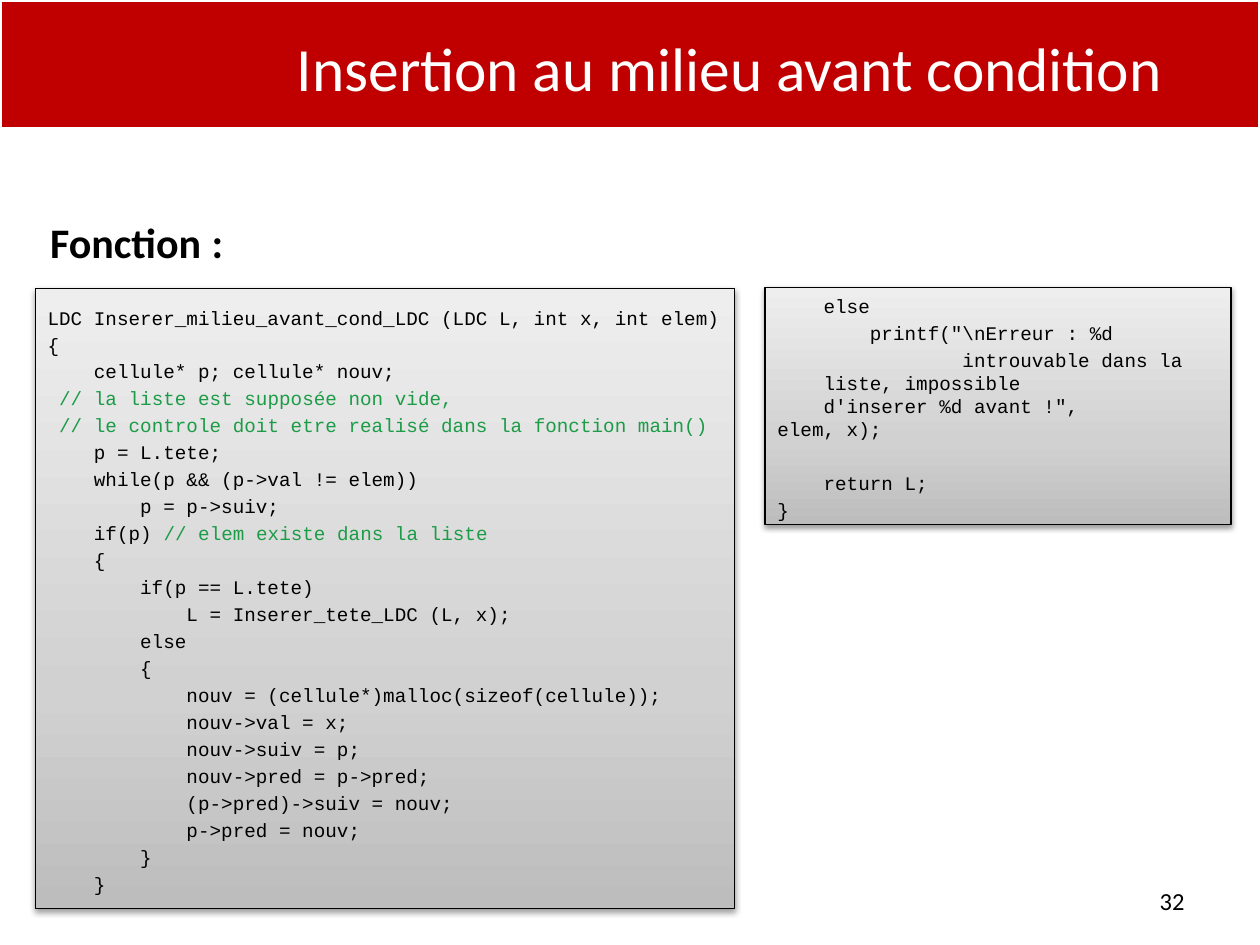
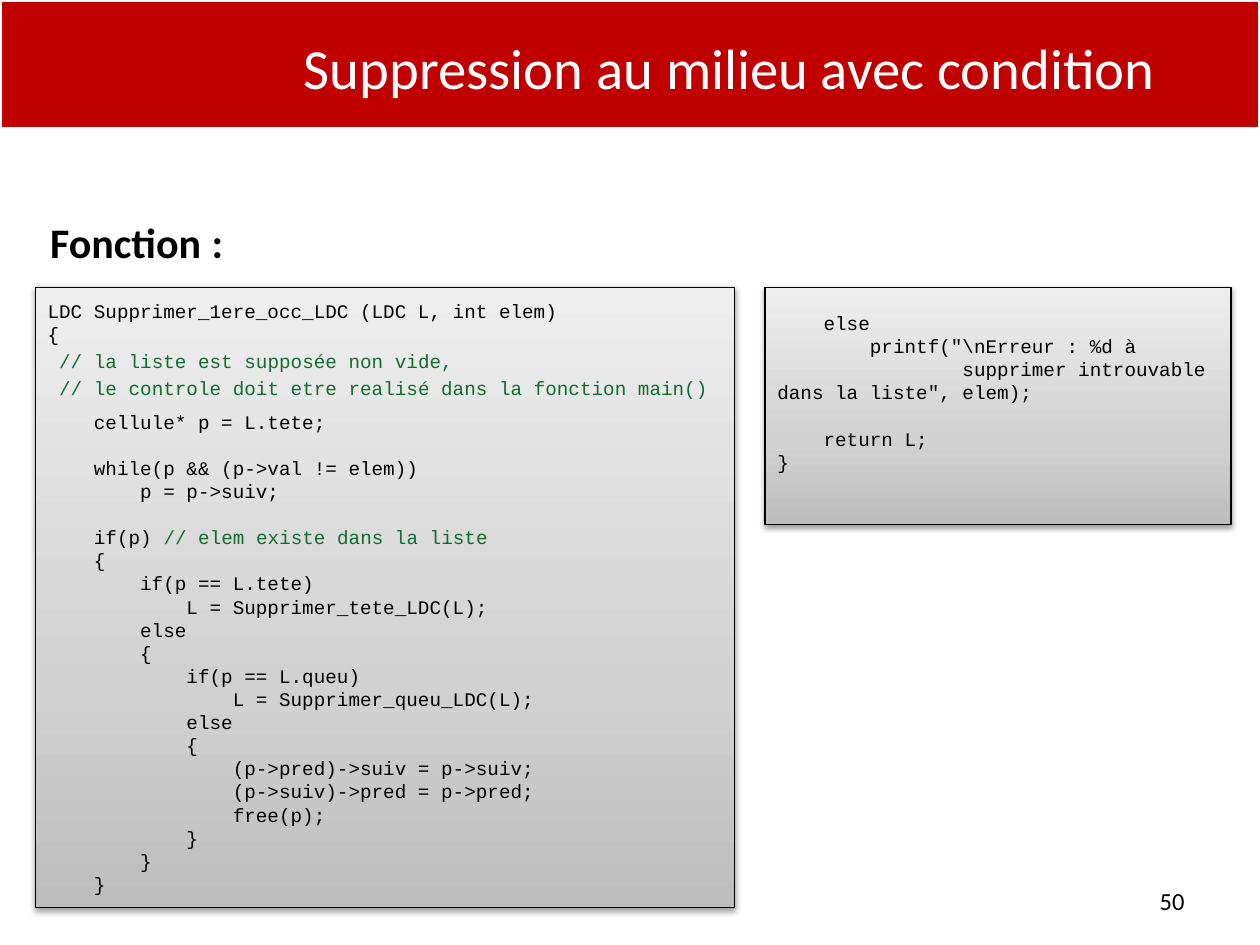
from pptx import Presentation
from pptx.dml.color import RGBColor
from pptx.enum.shapes import MSO_SHAPE
from pptx.enum.text import MSO_ANCHOR, PP_ALIGN
from pptx.oxml import parse_xml
from pptx.oxml.ns import nsdecls
from pptx.util import Cm, Pt

RECTANGLE = MSO_SHAPE.RECTANGLE
TOP, MIDDLE = MSO_ANCHOR.TOP, MSO_ANCHOR.MIDDLE
LEFT, CENTER, RIGHT = PP_ALIGN.LEFT, PP_ALIGN.CENTER, PP_ALIGN.RIGHT

RED = RGBColor(0xC0, 0x00, 0x00)
WHITE = RGBColor(0xFF, 0xFF, 0xFF)
BLACK = RGBColor(0x00, 0x00, 0x00)
LIGHT_GREEN = RGBColor(0x1C, 0x9C, 0x47)
DARK_GREEN = RGBColor(0x13, 0x6B, 0x30)
PANEL_STOPS = [(0, "BDBDBD"), (35, "D1D1D1"), (100, "EEEEEE")]

TEXT_FONT, CODE_FONT = "Calibri", "Courier New"
CODE_SIZE = 11
CODE_LINE = 13.2  # height of one line of code, in points
LOOSE = 2.2  # 20 % of the code size
INSET = 3.6

# Panel places: left, width, height
MAIN_PANEL = (0.71, 14.1, 12.5)
SIDE_PANEL = (15.42, 9.4, 4.78)

INSERT_MAIN = """\
LDC Inserer_milieu_avant_cond_LDC (LDC L, int x, int elem)
{
    cellule* p; cellule* nouv;
 // la liste est supposée non vide,
 // le controle doit etre realisé dans la fonction main()
    p = L.tete;
    while(p && (p->val != elem))
        p = p->suiv;
    if(p) // elem existe dans la liste
    {
        if(p == L.tete)
            L = Inserer_tete_LDC (L, x);
        else
        {
            nouv = (cellule*)malloc(sizeof(cellule));
            nouv->val = x;
            nouv->suiv = p;
            nouv->pred = p->pred;
            (p->pred)->suiv = nouv;
            p->pred = nouv;
        }
    }"""

INSERT_SIDE = """\
    else
        printf("\\nErreur : %d
                introuvable dans la
    liste, impossible
    d'inserer %d avant !",
elem, x);

    return L;
}"""

DELETE_MAIN = """\
LDC Supprimer_1ere_occ_LDC (LDC L, int elem)
{
 // la liste est supposée non vide,
 // le controle doit etre realisé dans la fonction main()
    cellule* p = L.tete;

    while(p && (p->val != elem))
        p = p->suiv;

    if(p) // elem existe dans la liste
    {
        if(p == L.tete)
            L = Supprimer_tete_LDC(L);
        else
        {
            if(p == L.queu)
                L = Supprimer_queu_LDC(L);
            else
            {
                (p->pred)->suiv = p->suiv;
                (p->suiv)->pred = p->pred;
                free(p);
            }
        }
    }"""

DELETE_SIDE = """\
    else
        printf("\\nErreur : %d à
                supprimer introuvable
dans la liste", elem);

    return L;
}"""

# "special" gives the space before single lines, by line index
SLIDES = [
    dict(title="Insertion au milieu avant condition", title_size=35.1, number="32",
         comment=LIGHT_GREEN, panels=[
             dict(place=MAIN_PANEL, top=5.82, code=INSERT_MAIN, spacing=LOOSE),
             dict(place=SIDE_PANEL, top=5.79, code=INSERT_SIDE, spacing=LOOSE,
                  special={3: 0, 4: 0, 5: 0}),
         ]),
    dict(title="Suppression au milieu avec condition", title_size=32.4, number="50",
         comment=DARK_GREEN, panels=[
             dict(place=MAIN_PANEL, top=5.79, code=DELETE_MAIN, spacing=0,
                  special={2: LOOSE, 3: LOOSE, 4: 6}),
             dict(place=SIDE_PANEL, top=5.79, code=DELETE_SIDE, spacing=0,
                  bottom=CODE_LINE + LOOSE),
         ]),
]


def add_span(para, text, size, color, font=TEXT_FONT, bold=False):
    span = para.add_run()
    span.text = text
    span.font.name = font
    span.font.size = Pt(size)
    span.font.color.rgb = color
    span.font.bold = bold


def add_text(page, place, spans, align, anchor=MIDDLE):
    """Add one line of text; spans are (text, size, color, bold)."""
    box = page.shapes.add_textbox(*map(Cm, place))
    frame = box.text_frame
    frame.word_wrap = True
    frame.vertical_anchor = anchor
    para = frame.paragraphs[0]
    para.alignment = align
    for text, size, color, bold in spans:
        add_span(para, text, size, color, bold=bold)
    return box


def add_rectangle(page, left, top, width, height, line_color, line_width):
    shape = page.shapes.add_shape(RECTANGLE, Cm(left), Cm(top), Cm(width), Cm(height))
    shape.shadow.inherit = False
    shape.line.color.rgb = line_color
    shape.line.width = Pt(line_width)
    return shape


def style_panel(panel):
    """Give the panel its vertical gradient and soft shadow."""
    stops = "".join(f'<a:gs pos="{position * 1000}"><a:srgbClr val="{color}"/></a:gs>'
                    for position, color in PANEL_STOPS)
    properties = panel._element.spPr
    properties.insert(2, parse_xml(
        f'<a:gradFill {nsdecls("a")} rotWithShape="1"><a:gsLst>{stops}</a:gsLst>'
        '<a:lin ang="16200000" scaled="0"/></a:gradFill>'))
    properties.find("{*}effectLst").append(parse_xml(
        f'<a:outerShdw {nsdecls("a")} blurRad="40000" dist="20000" dir="5400000" '
        'rotWithShape="0"><a:srgbClr val="000000"><a:alpha val="38000"/></a:srgbClr>'
        '</a:outerShdw>'))


def add_code(page, comment_color, place, top, code, spacing, special=None, bottom=0):
    """Add a code panel; an empty line becomes space before the next one."""
    left, width, height = place
    panel = add_rectangle(page, left, top, width, height, BLACK, 0.75)
    style_panel(panel)
    frame = panel.text_frame
    frame.word_wrap = True
    frame.vertical_anchor = MIDDLE
    frame.margin_top = Pt(INSET + spacing)
    frame.margin_bottom = Pt(INSET + bottom)
    gap = 0
    for index, line in enumerate(code.split("\n")):
        if not line:
            gap = CODE_LINE + spacing
            continue
        para = frame.add_paragraph() if index else frame.paragraphs[0]
        para.alignment = LEFT
        if index:
            para.space_before = Pt(gap + (special or {}).get(index, spacing))
        gap = 0
        statement, slashes, comment = line.partition("//")
        for text, color in ((statement, BLACK), (slashes + comment, comment_color)):
            if text:
                add_span(para, text, CODE_SIZE, color, CODE_FONT)


def add_page(deck, content):
    page = deck.slides.add_slide(deck.slide_layouts[6])
    heading = add_text(page, (0.76, 4.11, 23.8, 1.45),
                       [("Fonction", 24, BLACK, True), (" ", 26, BLACK, True),
                        (":", 24, BLACK, True)], LEFT, TOP)
    heading.text_frame.margin_top = Pt(5.5)
    band = add_rectangle(page, 0, 0, 25.4, 2.59, WHITE, 2)
    band.fill.solid()
    band.fill.fore_color.rgb = RED
    for panel in content["panels"]:
        add_code(page, content["comment"], **panel)
    add_text(page, (5.51, 0.48, 18.39, 1.75),
             [(content["title"], content["title_size"], WHITE, False)], CENTER)
    add_text(page, (18.21, 17.65, 5.92, 1.02),
             [(content["number"], 14, BLACK, False)], RIGHT)


def main():
    deck = Presentation()
    deck.slide_width, deck.slide_height = Cm(25.4), Cm(19.05)
    for content in SLIDES:
        add_page(deck, content)
    deck.save("out.pptx")


if __name__ == "__main__":
    main()
